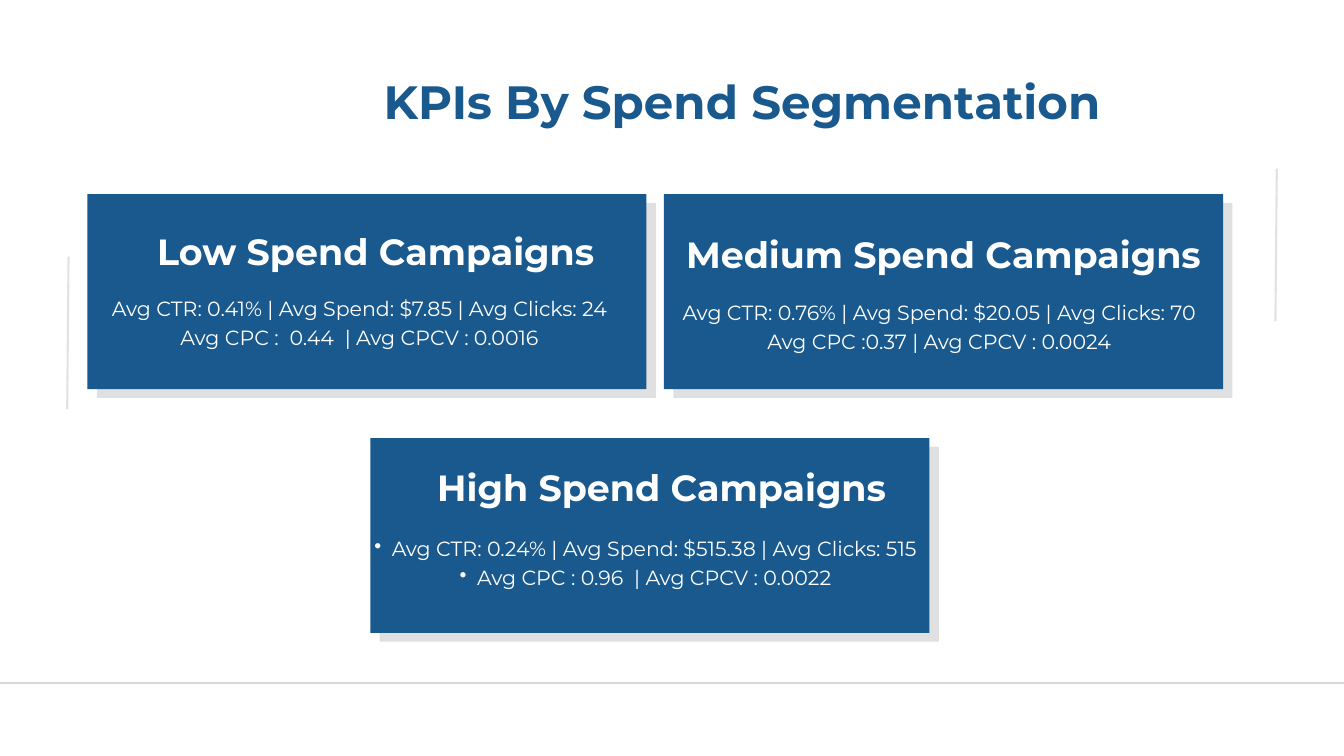
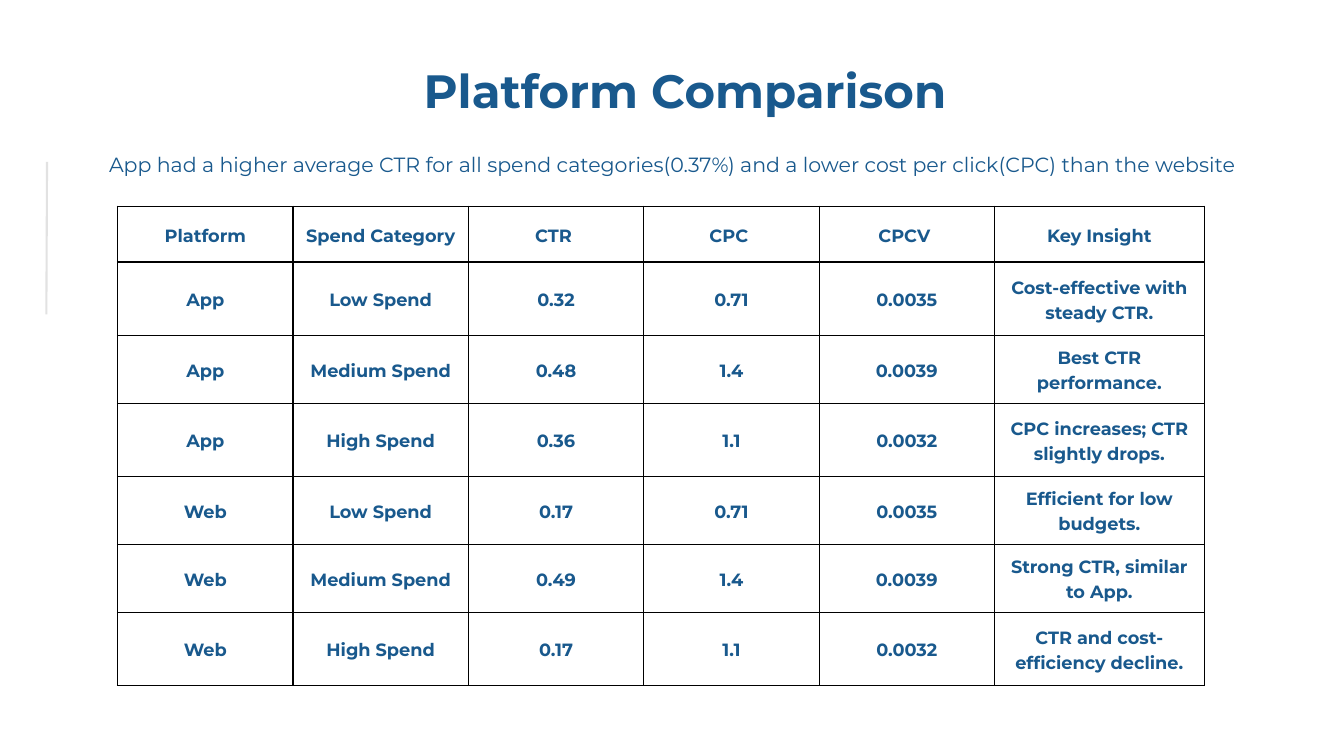
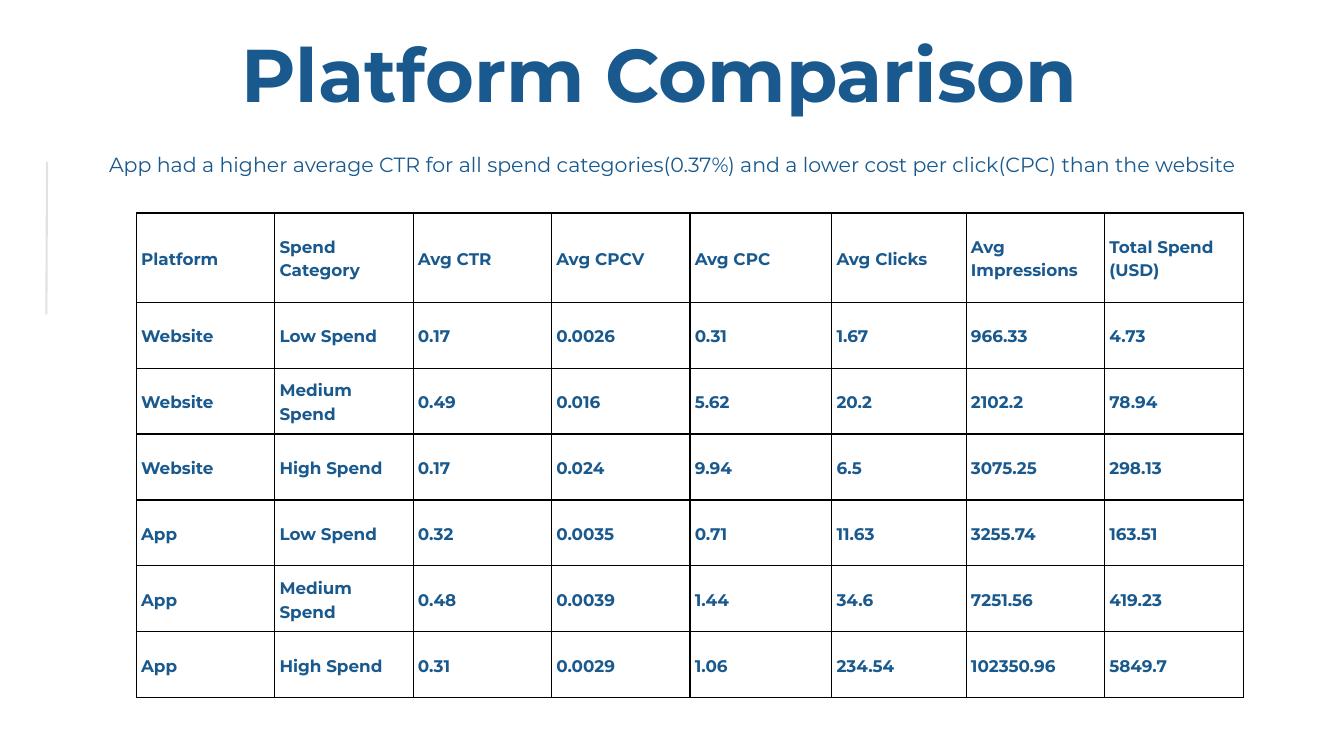
from dataclasses import dataclass

from lxml import etree
from pptx import Presentation
from pptx.dml.color import RGBColor
from pptx.enum.shapes import MSO_CONNECTOR, MSO_SHAPE
from pptx.enum.text import MSO_ANCHOR, MSO_AUTO_SIZE, PP_ALIGN
from pptx.oxml.ns import qn
from pptx.slide import Slide
from pptx.util import Inches, Pt

STRAIGHT = MSO_CONNECTOR.STRAIGHT
RECT = MSO_SHAPE.RECTANGLE
MIDDLE = MSO_ANCHOR.MIDDLE
GROW = MSO_AUTO_SIZE.SHAPE_TO_FIT_TEXT
LEFT = PP_ALIGN.LEFT
CENTER = PP_ALIGN.CENTER

BLUE = "19598D"
WHITE = "FFFFFF"
BLACK = "000000"
GREY = "D9D9D9"
FONT = "Montserrat"
CARD_W, CARD_H = 8.32, 2.9
SHADE_X, SHADE_Y = 0.14, 0.13


@dataclass(frozen=True)
class Style:
    size: float
    color: str = BLUE
    bold: bool = False
    align: PP_ALIGN = CENTER
    lead: float = 1.4


@dataclass(frozen=True)
class Box:
    left: float
    top: float
    width: float
    height: float


@dataclass(frozen=True)
class Card:
    left: float
    top: float
    head: str
    head_box: Box
    facts: str
    fact_box: Box
    dots: bool = False


@dataclass(frozen=True)
class Grid:
    left: float
    top: float
    cols: list[float]
    rows: list[float]
    inset: float
    style: Style
    data: list[tuple[str, ...]]


TITLE = Style(50, bold=True, lead=1)
BIG = Style(80, bold=True, align=LEFT, lead=1)
NOTE = Style(22)
HEAD = Style(39, WHITE, bold=True)
FACT = Style(22, WHITE)

CARDS = [
    Card(1.3, 2.89, "Low Spend Campaigns", Box(1.68, 3.3, 7.82, 0.72),
         "Avg CTR: 0.41% | Avg Spend: $7.85 | Avg Clicks: 24\n"
         "Avg CPC :  0.44  | Avg CPCV : 0.0016", Box(1.3, 4.35, 8.1, 1.26)),
    Card(5.51, 6.52, "High Spend Campaigns", Box(5.72, 6.82, 8.25, 0.72),
         "Avg CTR: 0.24% | Avg Spend: $515.38 | Avg Clicks: 515\n"
         "Avg CPC : 0.96  | Avg CPCV : 0.0022", Box(5.12, 7.92, 8.71, 1.26), True),
    Card(9.88, 2.89, "Medium Spend Campaigns", Box(8.97, 3.35, 10.14, 0.72),
         "Avg CTR: 0.76% | Avg Spend: $20.05 | Avg Clicks: 70\n"
         "Avg CPC :0.37 | Avg CPCV : 0.0024", Box(9.75, 4.41, 8.45, 1.26)),
]

INSIGHTS = Grid(
    1.75, 3.07, [2.61] * 5 + [3.12], [0.83, 1.09, 1.01, 1.09, 1.01, 1.01, 1.09],
    0.1, Style(19, bold=True),
    [
        ("Platform", "Spend Category", "CTR ", "CPC ", "CPCV ", "Key Insight"),
        ("App", "Low Spend", "0.32", "0.71", "0.0035", "Cost-effective with steady CTR."),
        ("App", "Medium Spend", "0.48", "1.4", "0.0039", "Best CTR performance."),
        ("App", "High Spend", "0.36", "1.1", "0.0032", "CPC increases; CTR slightly drops."),
        ("Web", "Low Spend", "0.17", "0.71", "0.0035", "Efficient for low budgets."),
        ("Web", "Medium Spend", "0.49", "1.4", "0.0039", "Strong CTR, similar to App."),
        ("Web", "High Spend", "0.17", "1.1", "0.0032", "CTR and cost-efficiency decline."),
    ],
)

METRICS = Grid(
    2.03, 3.17, [2.06] * 4 + [2.11, 2, 2.06, 2.06], [1.33] + [0.98] * 6,
    0.07, Style(18, bold=True, align=LEFT),
    [
        ("Platform", "Spend Category", "Avg CTR", "Avg CPCV", "Avg CPC", "Avg Clicks",
         "Avg Impressions", "Total Spend (USD)"),
        ("Website", "Low Spend", "0.17", "0.0026", "0.31", "1.67", "966.33", "4.73"),
        ("Website", "Medium Spend", "0.49", "0.016", "5.62", "20.2", "2102.2", "78.94"),
        ("Website", "High Spend", "0.17", "0.024", "9.94", "6.5", "3075.25", "298.13"),
        ("App", "Low Spend", "0.32", "0.0035", "0.71", "11.63", "3255.74", "163.51"),
        ("App", "Medium Spend", "0.48", "0.0039", "1.44", "34.6", "7251.56", "419.23"),
        ("App", "High Spend", "0.31", "0.0029", "1.06", "234.54", "102350.96", "5849.7"),
    ],
)


def tint(color: str) -> RGBColor:
    return RGBColor.from_string(color)


def fade(props, percent: int) -> None:
    for color in props.iter(qn("a:srgbClr")):
        etree.SubElement(color, qn("a:alpha"), val=str(percent * 1000))


def write(frame, text: str, style: Style, dots: bool = False) -> None:
    frame.text = text
    frame.word_wrap = True
    for para in frame.paragraphs:
        para.alignment = style.align
        para.line_spacing = Pt(style.size * style.lead)
        for run in para.runs:
            run.font.name = FONT
            run.font.size = Pt(style.size)
            run.font.bold = style.bold
            run.font.color.rgb = tint(style.color)
        if dots:
            para.level = 1
            props = para._p.get_or_add_pPr()
            props.set("marL", str(Inches(0.52)))
            props.set("indent", str(Inches(-0.26)))
            etree.SubElement(props, qn("a:buChar"), char="•")


def pad(item, inset: float) -> None:
    item.margin_left = item.margin_right = Inches(inset)
    item.margin_top = item.margin_bottom = Inches(inset)


def add_text(slide: Slide, box: Box, text: str, style: Style, dots: bool = False) -> None:
    shape = slide.shapes.add_textbox(
        Inches(box.left), Inches(box.top), Inches(box.width), Inches(box.height))
    pad(shape.text_frame, 0)
    write(shape.text_frame, text, style, dots)
    shape.text_frame.auto_size = GROW


def add_line(slide: Slide, start: tuple[float, float], end: tuple[float, float],
             percent: int = 75) -> None:
    line = slide.shapes.add_connector(
        STRAIGHT, Inches(start[0]), Inches(start[1]), Inches(end[0]), Inches(end[1]))
    line.line.width = Pt(2.25)
    line.line.color.rgb = tint(GREY)
    props = line._element.spPr
    etree.SubElement(props, qn("a:effectLst"))
    if percent < 100:
        fade(props, percent)


def add_rect(slide: Slide, left: float, top: float, color: str, percent: int = 100) -> None:
    rect = slide.shapes.add_shape(
        RECT, Inches(left), Inches(top), Inches(CARD_W), Inches(CARD_H))
    rect.shadow.inherit = False
    rect.fill.solid()
    rect.fill.fore_color.rgb = tint(color)
    rect.line.fill.background()
    if percent < 100:
        fade(rect._element.spPr, percent)


def add_edges(cell) -> None:
    props = cell._tc.get_or_add_tcPr()
    for side in ("lnL", "lnR", "lnT", "lnB"):
        edge = etree.SubElement(props, qn(f"a:{side}"), w=str(Pt(1.5)))
        fill = etree.SubElement(edge, qn("a:solidFill"))
        etree.SubElement(fill, qn("a:srgbClr"), val=str(tint(BLACK)))


def add_grid(slide: Slide, grid: Grid) -> None:
    table = slide.shapes.add_table(
        len(grid.rows), len(grid.cols), Inches(grid.left), Inches(grid.top),
        Inches(sum(grid.cols)), Inches(sum(grid.rows))).table
    table.first_row = table.horz_banding = False
    for col, width in zip(table.columns, grid.cols):
        col.width = Inches(width)
    for row, height, texts in zip(table.rows, grid.rows, grid.data):
        row.height = Inches(height)
        for cell, text in zip(row.cells, texts):
            pad(cell, grid.inset)
            cell.vertical_anchor = MIDDLE
            add_edges(cell)
            cell.fill.background()
            write(cell.text_frame, text, grid.style)


def build_cards(slide: Slide) -> None:
    add_line(slide, (-0.31, 10.16), (20.31, 10.16), 100)
    add_line(slide, (18.98, 4.78), (19, 2.51))
    add_line(slide, (1, 6.09), (1.02, 3.82))
    for card in CARDS:
        add_rect(slide, card.left + SHADE_X, card.top + SHADE_Y, BLACK, 12)
    for card in CARDS:
        add_rect(slide, card.left, card.top, BLUE)
    add_text(slide, Box(2.98, 1.23, 16.13, 0.72), "KPIs By Spend Segmentation", TITLE)
    for card in CARDS:
        add_text(slide, card.fact_box, card.facts, FACT, card.dots)
        add_text(slide, card.head_box, card.head, HEAD)


def build_table(slide: Slide, grid: Grid, box: Box, style: Style) -> None:
    add_line(slide, (0.69, 4.68), (0.7, 2.41))
    add_grid(slide, grid)
    add_text(slide, box, "Platform Comparison", style)
    add_text(slide, Box(1.54, 2.2, 16.92, 0.41),
             "App had a higher average CTR for all spend categories(0.37%) "
             "and a lower cost per click(CPC) than the website", NOTE)


def main() -> None:
    deck = Presentation()
    deck.slide_width, deck.slide_height = Inches(20), Inches(11.25)
    blank = deck.slide_layouts[6]
    build_cards(deck.slides.add_slide(blank))
    build_table(deck.slides.add_slide(blank), INSIGHTS, Box(3.53, 1.06, 13.33, 0.72), TITLE)
    build_table(deck.slides.add_slide(blank), METRICS, Box(3.59, 0.63, 13.33, 1.16), BIG)
    deck.save("out.pptx")


if __name__ == "__main__":
    main()
